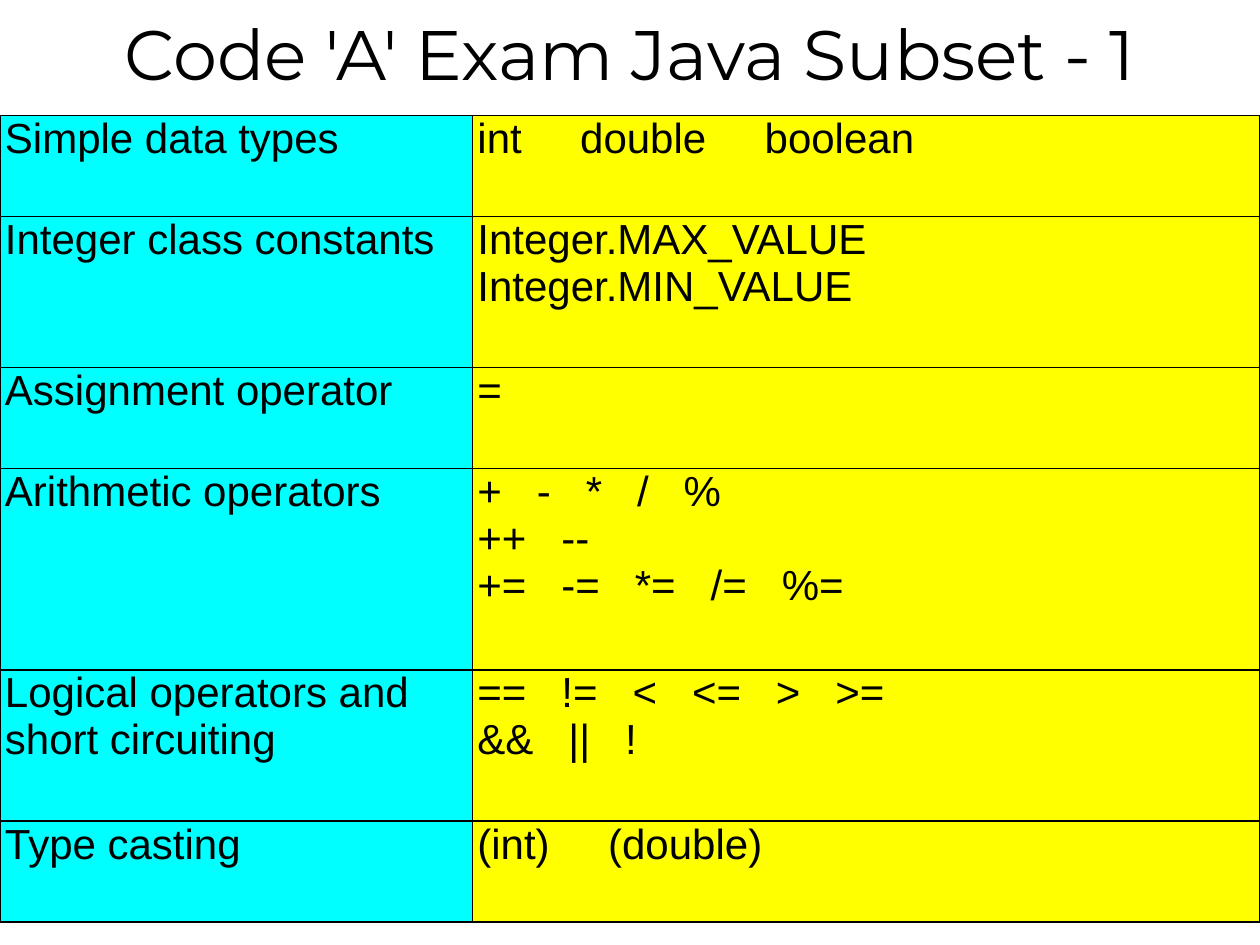
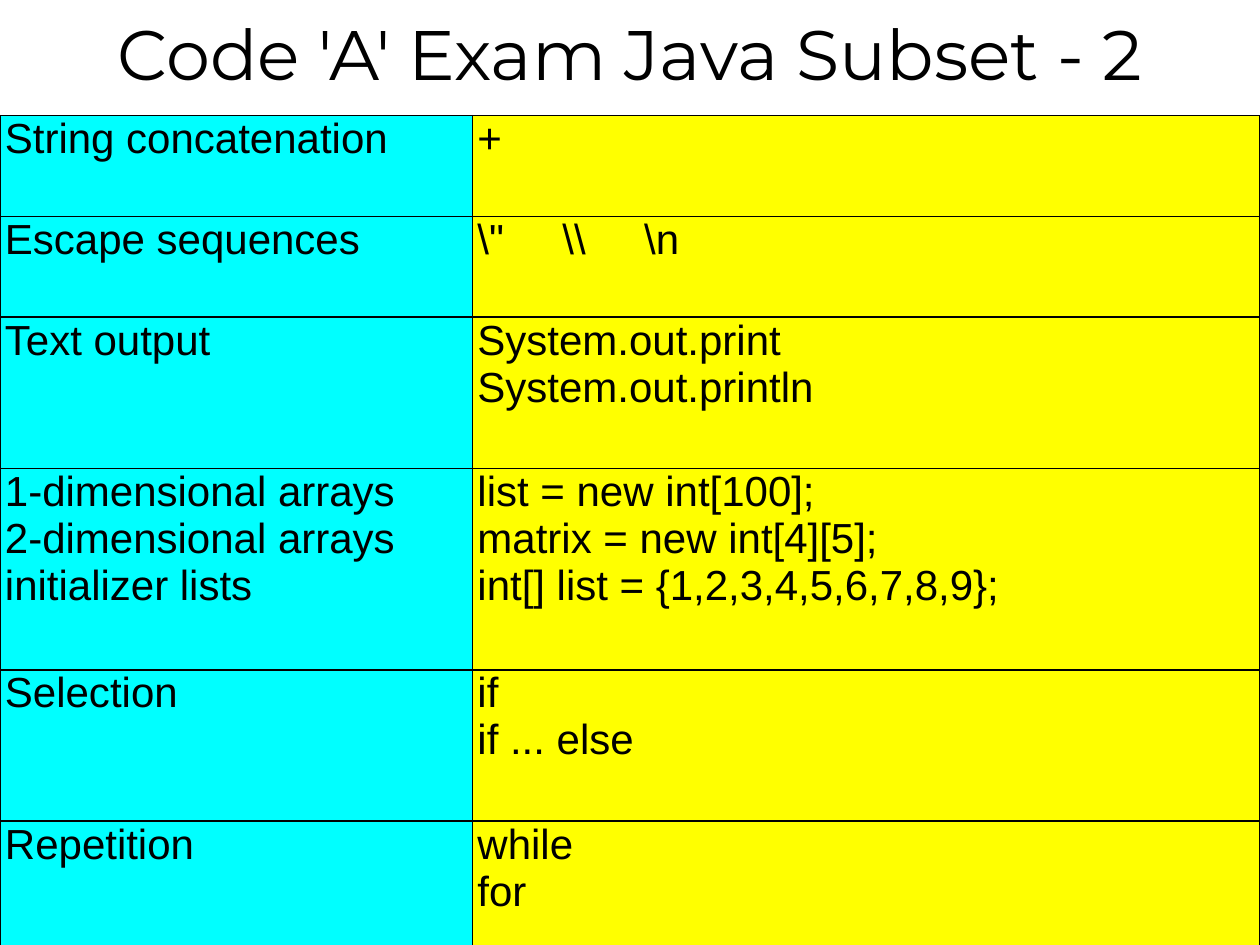
from pptx import Presentation
from pptx.dml.color import RGBColor
from pptx.enum.text import MSO_ANCHOR, PP_ALIGN
from pptx.oxml import parse_xml
from pptx.oxml.ns import nsdecls
from pptx.util import Cm, Pt

# Shared style
BLACK = RGBColor(0x00, 0x00, 0x00)
CYAN = RGBColor(0x00, 0xFF, 0xFF)
YELLOW = RGBColor(0xFF, 0xFF, 0x00)
TITLE_FONT, TITLE_SIZE = "Montserrat", Pt(40)
TABLE_FONT, TABLE_SIZE = "Arial", Pt(24)
CENTER = PP_ALIGN.CENTER
MIDDLE = MSO_ANCHOR.MIDDLE
BLANK_LAYOUT = 6

# Shared geometry
SLIDE_WIDTH, SLIDE_HEIGHT = Cm(25.4), Cm(19.05)
TITLE_HEIGHT = Cm(2.12)
TABLE_TOP = Cm(2.33)
LABEL_SHARE = 0.375
LINE_HEIGHT = Cm(25.4) // 25
CELL_MARGIN = Cm(0.1)
BORDER_WIDTH = Pt(1)
BORDER_SIDES = ("a:lnL", "a:lnR", "a:lnT", "a:lnB")

# Extra width of the space between tokens, in points
WORD_GAP = 26.7
OPERATOR_GAP = 13.3


def words(*tokens):
    return WORD_GAP, tokens


def operators(*tokens):
    return OPERATOR_GAP, tokens


def plain(text):
    return 0, (text,)


# Each row: lines of the label, lines of the Java elements
SUBSETS = [
    [
        ([plain("Simple data types")], [words("int", "double", "boolean")]),
        ([plain("Integer class constants")],
         [plain("Integer.MAX_VALUE"), plain("Integer.MIN_VALUE")]),
        ([plain("Assignment operator")], [plain("=")]),
        ([plain("Arithmetic operators")],
         [operators("+", "-", "*", "/", "%"),
          operators("++", "--"),
          operators("+=", "-=", "*=", "/=", "%=")]),
        ([plain("Logical operators and short circuiting")],
         [operators("==", "!=", "<", "<=", ">", ">="),
          operators("&&", "||", "!")]),
        ([plain("Type casting")], [words("(int)", "(double)")]),
    ],
    [
        ([plain("String concatenation")], [plain("+")]),
        ([plain("Escape sequences")], [words(r'\"', r"\\", r"\n")]),
        ([plain("Text output")],
         [plain("System.out.print"), plain("System.out.println")]),
        ([plain("1-dimensional arrays"), plain("2-dimensional arrays"),
          plain("initializer lists")],
         [plain("list = new int[100];"), plain("matrix = new int[4][5];"),
          plain("int[] list = {1,2,3,4,5,6,7,8,9};")]),
        ([plain("Selection")], [plain("if"), plain("if ... else")]),
        ([plain("Repetition")], [plain("while"), plain("for")]),
    ],
]


def add_run(paragraph, text, font_name, size):
    run = paragraph.add_run()
    run.text = text
    run.font.name = font_name
    run.font.size = size
    run.font.bold = False
    run.font.color.rgb = BLACK
    return run


def add_title(slide, text):
    box = slide.shapes.add_textbox(0, 0, SLIDE_WIDTH, TITLE_HEIGHT)
    frame = box.text_frame
    frame.word_wrap = True
    frame.vertical_anchor = MIDDLE
    paragraph = frame.paragraphs[0]
    paragraph.alignment = CENTER
    add_run(paragraph, text, TITLE_FONT, TITLE_SIZE)


def add_line(paragraph, gap, tokens):
    """Write tokens separated by one space that is widened by gap points."""
    for index, token in enumerate(tokens):
        if index:
            space = add_run(paragraph, " ", TABLE_FONT, TABLE_SIZE)
            space.font._element.set("spc", str(round(gap * 100)))
        add_run(paragraph, token, TABLE_FONT, TABLE_SIZE)


def set_borders(cell):
    properties = cell._tc.get_or_add_tcPr()
    for position, side in enumerate(BORDER_SIDES):
        properties.insert(position, parse_xml(
            f'<{side} {nsdecls("a")} w="{BORDER_WIDTH}"><a:solidFill>'
            f'<a:srgbClr val="{BLACK}"/></a:solidFill></{side}>'))


def fill_cell(cell, lines, color):
    cell.fill.solid()
    cell.fill.fore_color.rgb = color
    cell.margin_left = cell.margin_right = CELL_MARGIN
    cell.margin_top = cell.margin_bottom = 0
    set_borders(cell)
    frame = cell.text_frame
    for index, (gap, tokens) in enumerate(lines):
        paragraph = frame.add_paragraph() if index else frame.paragraphs[0]
        add_line(paragraph, gap, tokens)


def add_subset_table(slide, rows):
    # Every row leaves one line of room below its longest cell
    heights = [LINE_HEIGHT * (max(map(len, row)) + 1) for row in rows]
    table = slide.shapes.add_table(
        len(rows), 2, 0, TABLE_TOP, SLIDE_WIDTH, sum(heights)).table
    table.first_row = table.horz_banding = False
    label_width = int(SLIDE_WIDTH * LABEL_SHARE)
    table.columns[0].width = label_width
    table.columns[1].width = SLIDE_WIDTH - label_width
    for index, (row, height) in enumerate(zip(rows, heights)):
        table.rows[index].height = height
        for column, (lines, color) in enumerate(zip(row, (CYAN, YELLOW))):
            fill_cell(table.cell(index, column), lines, color)


def main():
    presentation = Presentation()
    presentation.slide_width = SLIDE_WIDTH
    presentation.slide_height = SLIDE_HEIGHT
    for number, rows in enumerate(SUBSETS, start=1):
        slide = presentation.slides.add_slide(
            presentation.slide_layouts[BLANK_LAYOUT])
        add_title(slide, f"Code 'A' Exam Java Subset - {number}")
        add_subset_table(slide, rows)
    presentation.save("out.pptx")


if __name__ == "__main__":
    main()
